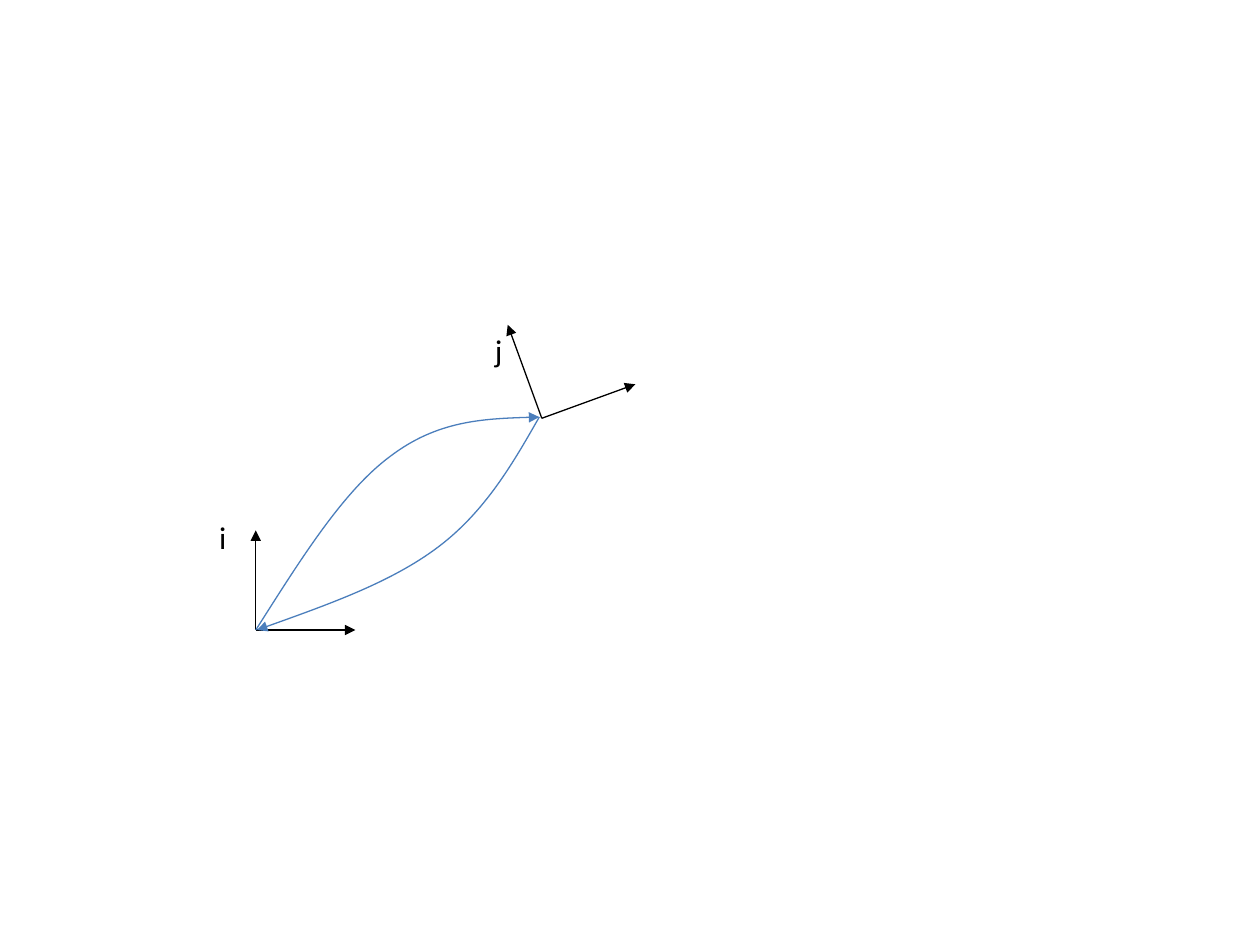
from math import cos, radians, sin

from lxml import etree
from pptx import Presentation
from pptx.dml.color import RGBColor
from pptx.enum.shapes import MSO_CONNECTOR
from pptx.enum.text import MSO_AUTO_SIZE
from pptx.oxml.ns import qn
from pptx.util import Inches, Pt

STRAIGHT = MSO_CONNECTOR.STRAIGHT
FIT_SHAPE = MSO_AUTO_SIZE.SHAPE_TO_FIT_TEXT

BLACK = "000000"
BLUE = "4B7EBC"
AXIS_LENGTH = 0.79


def rgb(color):
    return RGBColor.from_string(color)


def style_arrow(s, color, width=0.75):
    """Set the line format and put a triangle at the end."""
    s.line.color.rgb = rgb(color)
    s.line.width = Pt(width)
    ln = s._element.spPr.find(qn("a:ln"))
    etree.SubElement(ln, qn("a:tailEnd"), type="triangle")


def add_arrow(shapes, start, end, color=BLACK):
    s = shapes.add_connector(STRAIGHT, *[Inches(v) for v in (*start, *end)])
    style_arrow(s, color)
    etree.SubElement(s._element.spPr, qn("a:effectLst"))


def add_frame(slide, x, y, angle=0):
    """Add two perpendicular axes, turned counterclockwise by angle degrees."""
    group = slide.shapes.add_group_shape()
    for turn in (angle, angle + 90):
        a = radians(turn)
        tip = (x + AXIS_LENGTH * cos(a), y - AXIS_LENGTH * sin(a))
        add_arrow(group.shapes, (x, y), tip)


def add_curve(slide, points, color=BLUE):
    """Add a Bezier arrow: a start point, then three points per segment."""
    points = [(Inches(x), Inches(y)) for x, y in points]
    builder = slide.shapes.build_freeform(*points[0])
    builder.add_line_segments(points[1:], close=False)
    s = builder.convert_to_shape()

    # Join each three line segments into one cubic segment
    path = s._element.spPr.find(".//" + qn("a:path"))
    lines = path.findall(qn("a:lnTo"))
    for i in range(0, len(lines), 3):
        cubic = etree.SubElement(path, qn("a:cubicBezTo"))
        for line in lines[i:i + 3]:
            cubic.append(line[0])
            path.remove(line)

    s.fill.background()
    s.shadow.inherit = False
    style_arrow(s, color)


def add_text(slide, text, x, y, w=0.23, h=0.4, size=18, color=BLACK, font="Calibri"):
    s = slide.shapes.add_textbox(Inches(x), Inches(y), Inches(w), Inches(h))
    tf = s.text_frame
    tf.word_wrap = False
    tf.auto_size = FIT_SHAPE
    r = tf.paragraphs[0].add_run()
    r.text = text
    r.font.size = Pt(size)
    r.font.name = font
    r.font.color.rgb = rgb(color)


def main():
    prs = Presentation()
    prs.slide_width, prs.slide_height = Inches(10), Inches(7.5)
    slide = prs.slides.add_slide(prs.slide_layouts[6])

    # Coordinate frames
    add_frame(slide, 2.03, 5)
    add_frame(slide, 4.3, 3.32, angle=20)

    # Frame labels
    add_text(slide, "i", 1.64, 4.06)
    add_text(slide, "j", 3.83, 2.58)

    # Transforms from i to j and back
    add_curve(slide, [(2.03, 5), (2.38, 4.45), (2.72, 3.9), (3.1, 3.62),
                      (3.47, 3.34), (3.88, 3.32), (4.28, 3.31)])
    add_curve(slide, [(4.28, 3.31), (4.07, 3.68), (3.85, 4.06), (3.48, 4.34),
                      (3.11, 4.62), (2.57, 4.81), (2.04, 5)])

    prs.save("out.pptx")


if __name__ == "__main__":
    main()
